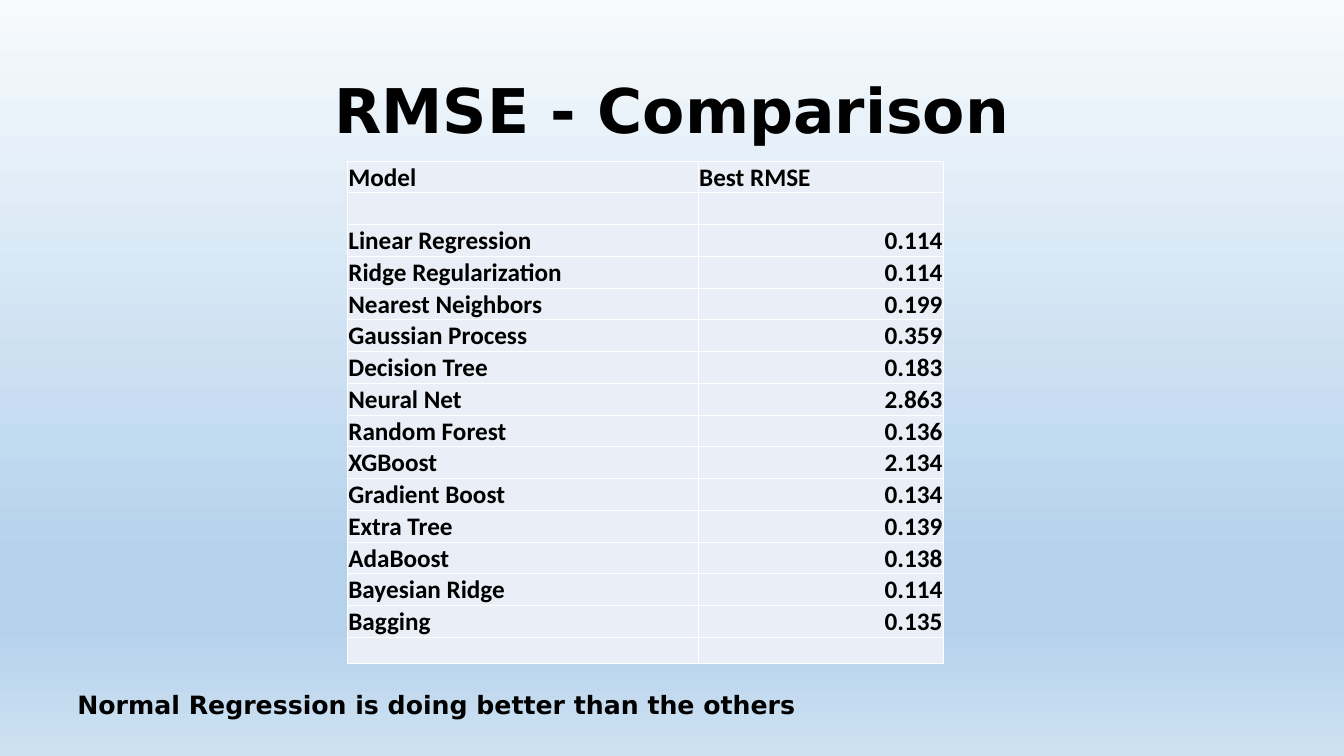
from lxml import etree
from pptx import Presentation, util as u
from pptx.dml.color import RGBColor
from pptx.enum import text
from pptx.oxml.ns import qn


def colour(hex_value):
    return RGBColor.from_string(hex_value)


def write(para, wording, font_name, size):
    span = para.add_run()
    span.text = wording
    font_format = {"name": font_name, "size": u.Pt(size), "bold": True}
    for name, value in font_format.items():
        setattr(span.font, name, value)
    span.font.color.rgb = colour("000000")


deck = Presentation()
deck.slide_width, deck.slide_height = u.Cm(33.87), u.Cm(19.05)
page = deck.slides.add_slide(deck.slide_layouts[5])

# Background: four-stop vertical gradient
backdrop = page.background.fill
backdrop.gradient()
backdrop.gradient_angle = 270
stop_list = page.element.find(".//" + qn("a:gsLst"))
for stop in list(stop_list):
    stop_list.remove(stop)
for percent, shade in [(0, "F7FAFD"), (74, "B5D2EC"), (83, "B5D2EC"), (100, "CEE1F2")]:
    stop = etree.SubElement(stop_list, qn("a:gs"), pos=str(percent * 1000))
    etree.SubElement(stop, qn("a:srgbClr"), val=shade)

# Title
title = page.shapes.title
title_place = {"left": 2.33, "top": 1.01, "width": 29.21, "height": 3.68}
for name, value in title_place.items():
    setattr(title, name, u.Cm(value))
title.text_frame.vertical_anchor = text.MSO_ANCHOR.MIDDLE
title_para = title.text_frame.paragraphs[0]
title_para.alignment = text.PP_ALIGN.CENTER
title_para.line_spacing = 0.9
write(title_para, "RMSE - Comparison", "DejaVu Sans", 44)

# Table of models and errors
rows = [
    ("Model", "Best RMSE"),
    ("", ""),
    ("Linear Regression", "0.114"),
    ("Ridge Regularization", "0.114"),
    ("Nearest Neighbors", "0.199"),
    ("Gaussian Process", "0.359"),
    ("Decision Tree", "0.183"),
    ("Neural Net", "2.863"),
    ("Random Forest", "0.136"),
    ("XGBoost", "2.134"),
    ("Gradient Boost", "0.134"),
    ("Extra Tree", "0.139"),
    ("AdaBoost", "0.138"),
    ("Bayesian Ridge", "0.114"),
    ("Bagging", "0.135"),
    ("", ""),
]
row_height, last_height = 0.8, 0.65
table_height = row_height * (len(rows) - 1) + last_height
table = page.shapes.add_table(len(rows), 2, u.Cm(8.76), u.Cm(4.06),
                              u.Cm(15.01), u.Cm(table_height)).table
table.first_row = table.horz_banding = False
table.columns[0].width, table.columns[1].width = u.Cm(8.84), u.Cm(6.17)
cell_format = {
    "margin_left": u.Cm(0.02), "margin_right": u.Cm(0.02),
    "margin_top": u.Cm(0.02), "margin_bottom": 0,
    "vertical_anchor": text.MSO_ANCHOR.BOTTOM,
}
for r, row in enumerate(rows):
    is_last = r == len(rows) - 1
    table.rows[r].height = u.Cm(last_height if is_last else row_height)
    for c, wording in enumerate(row):
        cell = table.cell(r, c)
        for name, value in cell_format.items():
            setattr(cell, name, value)

        # White cell borders, then the fill
        properties = cell._tc.get_or_add_tcPr()
        for side in ("lnL", "lnR", "lnT", "lnB"):
            border = etree.SubElement(properties, qn("a:" + side), w=str(u.Pt(1)))
            border_fill = etree.SubElement(border, qn("a:solidFill"))
            etree.SubElement(border_fill, qn("a:srgbClr"), val="FFFFFF")
        cell.fill.solid()
        cell.fill.fore_color.rgb = colour("EAEFF7")

        para = cell.text_frame.paragraphs[0]
        if wording:
            write(para, wording, "Calibri", 18)
            if c == 1 and r > 0:
                para.alignment = text.PP_ALIGN.RIGHT
        else:
            # The text size of an empty cell keeps its row low
            end = etree.SubElement(para._p, qn("a:endParaRPr"),
                                   sz="1400" if is_last else "1800")
            etree.SubElement(end, qn("a:latin"), typeface="Calibri")

# Conclusion
box = page.shapes.add_textbox(u.Cm(1.7), u.Cm(17.25), u.Cm(30.28), u.Cm(1.02))
box.text_frame.word_wrap = True
box.text_frame.auto_size = text.MSO_AUTO_SIZE.SHAPE_TO_FIT_TEXT
write(box.text_frame.paragraphs[0],
      "Normal Regression is doing better than the others", "DejaVu Sans", 18)

deck.save("out.pptx")
